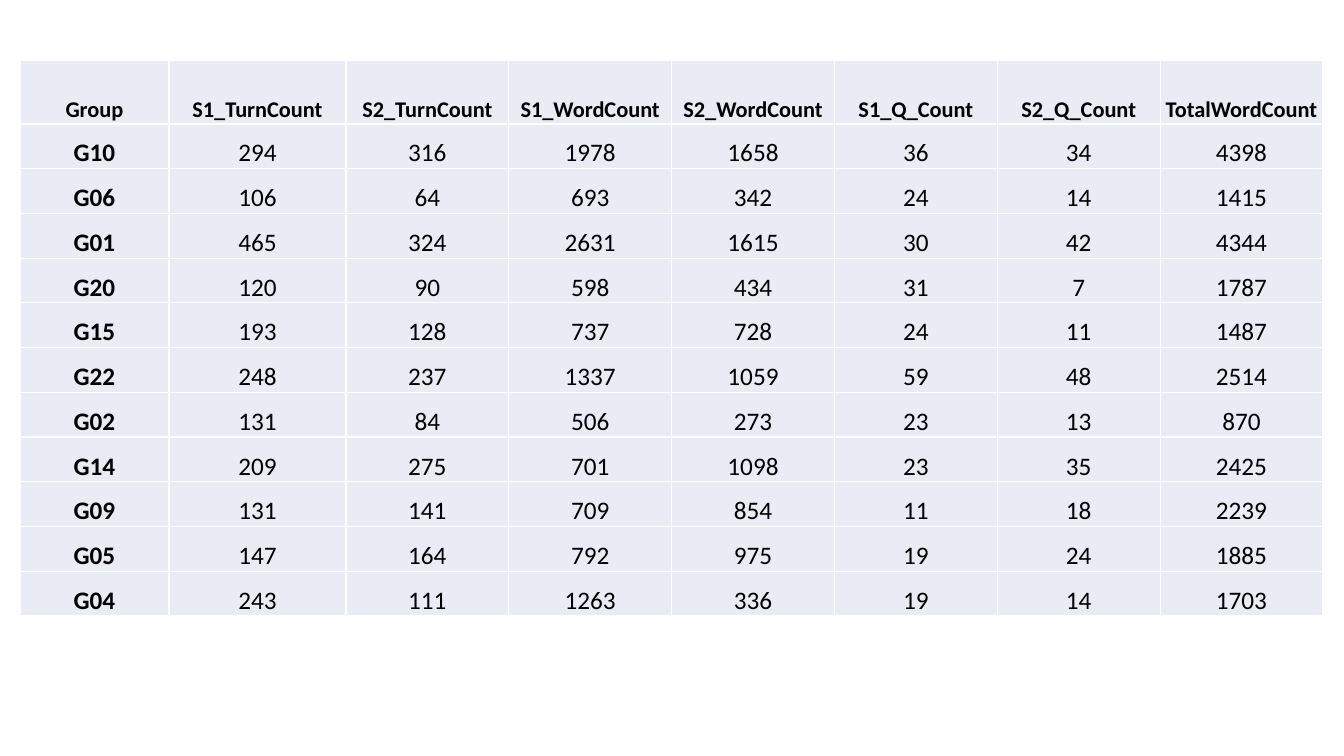
from lxml import etree
from pptx import Presentation
from pptx import util as u
from pptx.dml import color
from pptx.enum import text
from pptx.oxml import ns

SCALE = 12192000 / 1344

HEAD = ["Group", "S1_TurnCount", "S2_TurnCount", "S1_WordCount",
        "S2_WordCount", "S1_Q_Count", "S2_Q_Count", "TotalWordCount"]
ROWS = [
    ["G10", 294, 316, 1978, 1658, 36, 34, 4398],
    ["G06", 106, 64, 693, 342, 24, 14, 1415],
    ["G01", 465, 324, 2631, 1615, 30, 42, 4344],
    ["G20", 120, 90, 598, 434, 31, 7, 1787],
    ["G15", 193, 128, 737, 728, 24, 11, 1487],
    ["G22", 248, 237, 1337, 1059, 59, 48, 2514],
    ["G02", 131, 84, 506, 273, 23, 13, 870],
    ["G14", 209, 275, 701, 1098, 23, 35, 2425],
    ["G09", 131, 141, 709, 854, 11, 18, 2239],
    ["G05", 147, 164, 792, 975, 19, 24, 1885],
    ["G04", 243, 111, 1263, 336, 19, 14, 1703],
]


def px(n):
    """Turn pixels into EMU."""
    return u.Emu(round(n * SCALE))


def rgb(code):
    """Turn a hex string into a colour."""
    return color.RGBColor.from_string(code)


def write(frame, words, size=18, bold=False, ink="000000", face="Calibri"):
    """Put one centred line of formatted text in a frame."""
    para = frame.paragraphs[0]
    para.alignment = text.PP_ALIGN.CENTER
    run = para.add_run()
    run.text = str(words)
    font = run.font
    font.size, font.bold, font.name = u.Pt(size), bold, face
    font.color.rgb = rgb(ink)


def edge(cell, ink="FFFFFF", width=1):
    """Draw a solid line on all four sides of a cell."""
    props = cell._tc.get_or_add_tcPr()
    for side in ("lnL", "lnR", "lnT", "lnB"):
        line = etree.SubElement(props, ns.qn(f"a:{side}"), w=str(u.Pt(width)))
        fill = etree.SubElement(line, ns.qn("a:solidFill"))
        etree.SubElement(fill, ns.qn("a:srgbClr"), val=ink)


def style(cell, fill):
    """Set the borders, fill, margins and anchor of a cell."""
    edge(cell)
    cell.fill.solid()
    cell.fill.fore_color.rgb = rgb(fill)
    cell.margin_left = cell.margin_right = cell.margin_top = px(1)
    cell.margin_bottom = 0
    cell.vertical_anchor = text.MSO_ANCHOR.BOTTOM


def counts(slide, x, y, w, h):
    """Build the table of counts per group inside the given box."""
    data = [HEAD] + ROWS
    frame = slide.shapes.add_table(len(data), len(HEAD), px(x), px(y), px(w), px(h))
    table = frame.table
    table.first_row = table.horz_banding = False

    first, second, top = 149, 177, 64
    rest = (w - first - second) / (len(HEAD) - 2)
    for col, width in zip(table.columns, [first, second] + [rest] * (len(HEAD) - 2)):
        col.width = px(width)
    for row, height in zip(table.rows, [top] + [(h - top) / len(ROWS)] * len(ROWS)):
        row.height = px(height)

    for r, line in enumerate(data):
        for c, value in enumerate(line):
            cell = table.cell(r, c)
            style(cell, "E9EBF5")
            write(cell.text_frame, value, size=18 if r else 16, bold=r == 0 or c == 0)


def main():
    """Make the slide and save it."""
    deck = Presentation()
    deck.slide_width, deck.slide_height = px(1344), px(756)
    slide = deck.slides.add_slide(deck.slide_layouts[6])
    counts(slide, 20, 60, 1303, 556)
    deck.save("out.pptx")


if __name__ == "__main__":
    main()
